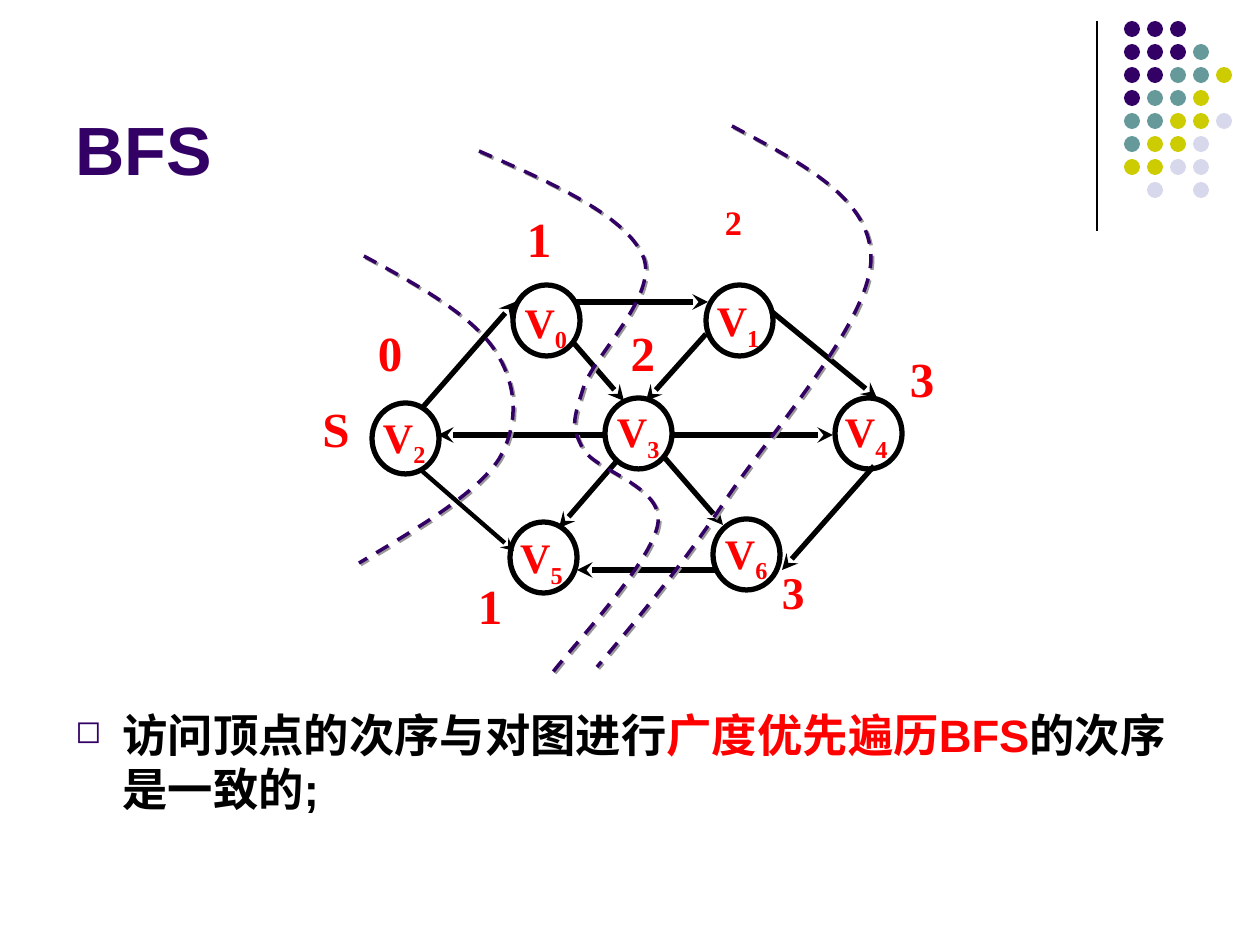
from lxml.etree import SubElement
from pptx import Presentation
from pptx.dml.color import RGBColor
from pptx.enum.dml import MSO_LINE
from pptx.enum.shapes import MSO_CONNECTOR, MSO_SHAPE
from pptx.enum.text import MSO_ANCHOR, PP_ALIGN
from pptx.oxml.ns import qn
from pptx.util import Pt

PX = 914400 / 126
BLACK = RGBColor(0, 0, 0)
RED = RGBColor(0xFF, 0, 0)
PURPLE = RGBColor(0x33, 0, 0x66)
TEAL = RGBColor(0x66, 0x99, 0x99)
LIME = RGBColor(0xCC, 0xCC, 0)
LILAC = RGBColor(0xD8, 0xD8, 0xEC)
SANS, SERIF = "Arial", "Times New Roman"
CENTER, JUSTIFY = PP_ALIGN.CENTER, PP_ALIGN.JUSTIFY

DOTS = ["PPP", "PPPT", "PPTTY", "PTTY", "TTYYL", "TYYL", "YYLL", " L L"]
HUES = {"P": PURPLE, "T": TEAL, "Y": LIME, "L": LILAC}

# circle corner, label box, label alignment; the index is the vertex number
NODES = [
    ((513, 285), (513, 296, 66, 58), CENTER),
    ((706, 285), (709, 295, 58, 60), CENTER),
    ((372, 403), (383, 411, 74, 83), JUSTIFY),
    ((605, 398), (617, 406, 63, 63), JUSTIFY),
    ((835, 398), (845, 406, 62, 101), JUSTIFY),
    ((510, 522), (500, 532, 83, 91), CENTER),
    ((713, 519), (725, 527, 78, 68), JUSTIFY),
]

# text, box, format that differs from the usual
LEVELS = [
    ("S", (305, 399, 62, 105), {"align": CENTER}),
    ("0", (378, 323, 62, 59), {}),
    ("1", (527, 209, 49, 63), {}),
    ("1", (478, 576, 53, 96), {}),
    ("2", (614, 323, 58, 64), {"align": CENTER}),
    ("2", (725, 209, 23, 42), {"size": 19.6, "lead": 0.8}),
    ("3", (910, 349, 59, 73), {}),
    ("3", (782, 570, 40, 57), {"size": 25.9, "lead": 0.9}),
]

EDGES = [
    (423, 407, 515, 302), (575, 302, 708, 302), (771, 311, 877, 398),
    (874, 466, 782, 570), (716, 570, 577, 570), (605, 435, 438, 435),
    (672, 435, 833, 435), (572, 341, 624, 401), (706, 334, 646, 401),
    (616, 462, 559, 528), (664, 457, 723, 525),
]

# start point, then three Bezier points for each segment
WAVES = [
    [(364, 256), (418, 285), (471, 315), (494, 349), (517, 383), (520, 423),
     (499, 459), (476, 494), (418, 528), (359, 563)],
    [(479, 151), (552, 183), (625, 215), (643, 256), (660, 295), (592, 357),
     (583, 389), (573, 421), (571, 426), (583, 449), (596, 471), (663, 486),
     (658, 523), (653, 561), (571, 648), (553, 672)],
    [(732, 126), (801, 163), (872, 198), (871, 260), (869, 323), (772, 431),
     (727, 498), (682, 566), (640, 616), (597, 667)],
]


def emu(*vals):
    return [round(v * PX) for v in vals]


def write(box, *runs, font=SANS, size=28, color=RED, align=None, lead=None,
          pad=True, anchor=MSO_ANCHOR.TOP, bullet=None):
    """Fill a box; each run is a text or a (text, color, baseline) tuple."""
    frame = box.text_frame
    frame.word_wrap = True
    frame.vertical_anchor = anchor
    if not pad:
        frame.margin_left = frame.margin_right = 0
        frame.margin_top = frame.margin_bottom = 0
    para = frame.paragraphs[0]
    para.alignment = align
    para.line_spacing = lead
    if bullet:
        props = para._p.get_or_add_pPr()
        indent, = emu(47)
        props.set("marL", str(indent))
        props.set("indent", str(-indent))
        hue = SubElement(props, qn("a:buClr"))
        SubElement(hue, qn("a:srgbClr"), val=str(PURPLE))
        SubElement(props, qn("a:buSzPct"), val="70000")
        SubElement(props, qn("a:buChar"), char=bullet)
    for item in runs:
        text, hue, base = (item, color, 0) if isinstance(item, str) else item
        run = para.add_run()
        run.text = text
        run.font.name = font
        run.font.size = Pt(size)
        run.font.bold = True
        run.font.color.rgb = hue
        if base:
            run._r.get_or_add_rPr().set("baseline", str(base))


class Board:
    def __init__(self, slide):
        self.shapes = slide.shapes

    def text(self, box, *runs, **style):
        write(self.shapes.add_textbox(*emu(*box)), *runs, **style)

    def oval(self, x, y, w, h, fill=None, line=None):
        shape = self.shapes.add_shape(MSO_SHAPE.OVAL, *emu(x, y, w, h))
        shape.shadow.inherit = False
        if fill is None:
            shape.fill.background()
        else:
            shape.fill.solid()
            shape.fill.fore_color.rgb = fill
        if line is None:
            shape.line.fill.background()
        else:
            shape.line.color.rgb = line
            shape.line.width = Pt(3)

    def line(self, ends, width=3, arrow=True):
        link = self.shapes.add_connector(MSO_CONNECTOR.STRAIGHT, *emu(*ends))
        link.line.color.rgb = BLACK
        link.line.width = Pt(width)
        if arrow:
            SubElement(link.line._get_or_add_ln(), qn("a:tailEnd"), type="stealth")
        SubElement(link._element.spPr, qn("a:effectLst"))

    def wave(self, points):
        """Draw a dashed Bezier curve with a small grey shadow."""
        pen = self.shapes.build_freeform(*points[0], scale=PX)
        pen.add_line_segments(points[1:], close=False)
        shape = pen.convert_to_shape()
        trail = shape._element.find(".//" + qn("a:path"))
        steps = trail.findall(qn("a:lnTo"))
        for first in range(0, len(steps), 3):
            curve = SubElement(trail, qn("a:cubicBezTo"))
            for step in steps[first:first + 3]:
                curve.append(step[0])
                trail.remove(step)
        shape.fill.background()
        shape.line.color.rgb = PURPLE
        shape.line.width = Pt(2)
        shape.line.dash_style = MSO_LINE.DASH
        glow = SubElement(shape._element.spPr, qn("a:effectLst"))
        shade = SubElement(glow, qn("a:outerShdw"), dist=str(Pt(1.4)),
                           dir="2700000", algn="ctr", rotWithShape="0")
        SubElement(shade, qn("a:srgbClr"), val="999999")


def main():
    deck = Presentation()
    deck.slide_width, deck.slide_height = emu(1260, 945)
    board = Board(deck.slides.add_slide(deck.slide_layouts[6]))

    board.line((1097, 21, 1097, 231), width=0.75, arrow=False)
    for row, marks in enumerate(DOTS):
        for col, mark in enumerate(marks):
            if mark in HUES:
                board.oval(1124 + 23 * col, 21 + 23 * row, 16, 16, fill=HUES[mark])

    board.text((63, 16, 1040, 179), "BFS", size=39, color=PURPLE,
               anchor=MSO_ANCHOR.BOTTOM)
    board.text((63, 701, 1134, 143), "访问顶点的次序与对图进行",
               ("广度优先遍历BFS", RED, 0), "的次序是一致的;",
               size=25.9, color=BLACK, bullet="◻")

    for num, (spot, box, align) in enumerate(NODES):
        board.oval(*spot, 67, 71, line=BLACK)
        board.text(box, "V", (str(num), RED, -25000), font=SERIF, size=24,
                   align=align, pad=False)
    for text, box, style in LEVELS:
        board.text(box, text, **{"font": SERIF, "align": JUSTIFY, "pad": False, **style})
    for ends in EDGES:
        board.line(ends)
    board.line((422, 471, 514, 551), width=2.5)
    for points in WAVES:
        board.wave(points)

    deck.save("out.pptx")


if __name__ == "__main__":
    main()
